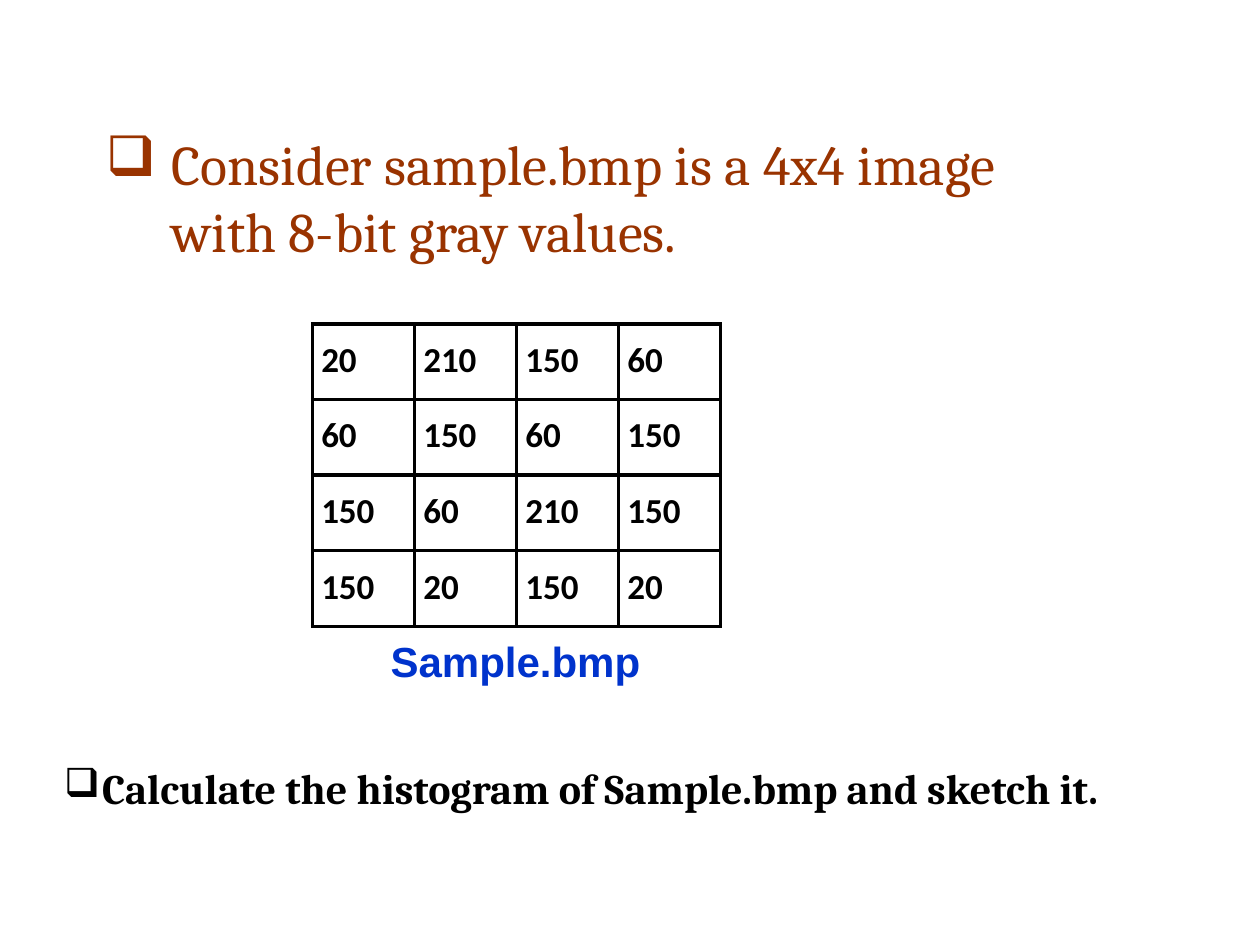
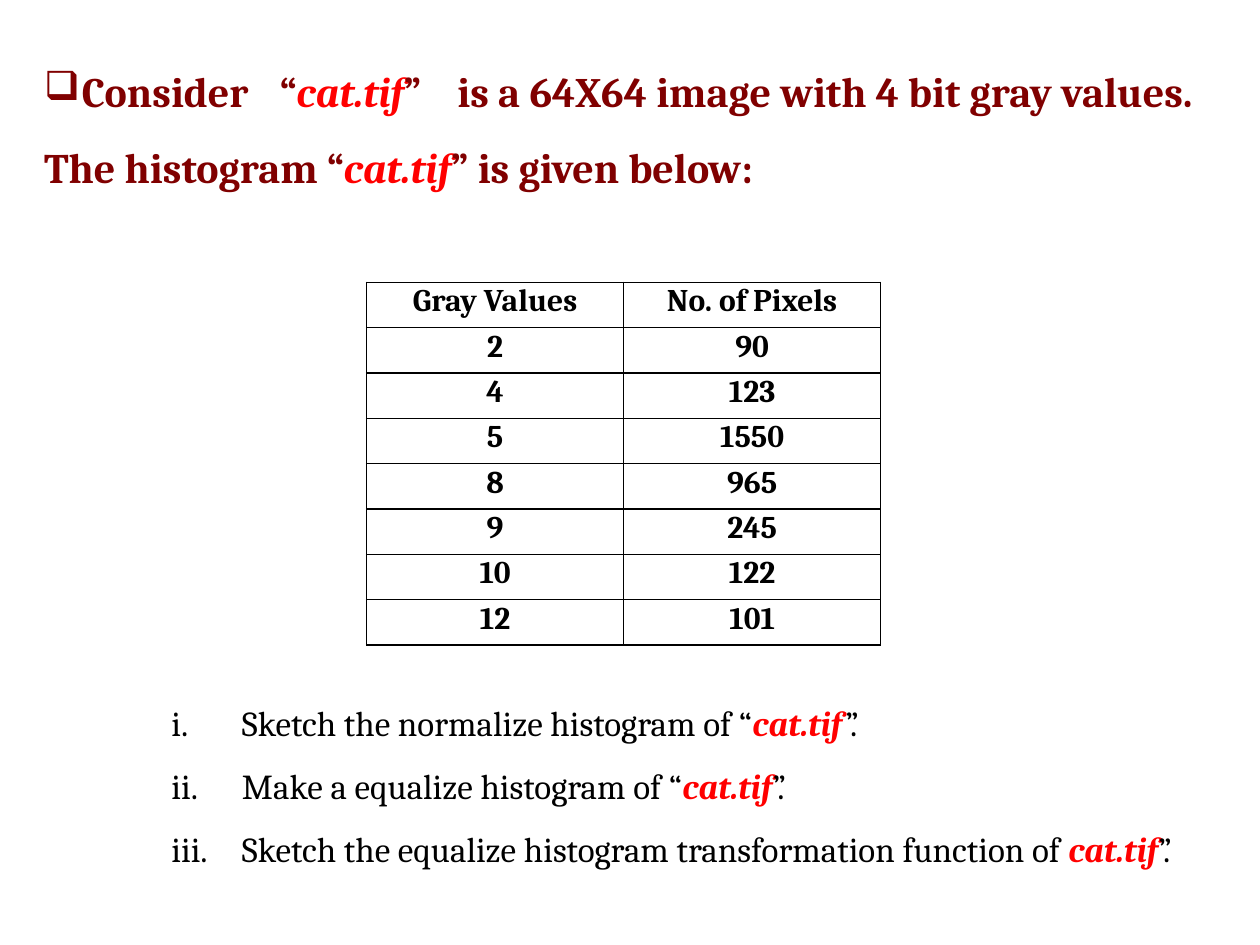
from lxml.etree import SubElement
from pptx import Presentation
from pptx.dml.color import RGBColor
from pptx.enum.text import PP_ALIGN
from pptx.oxml.ns import qn
from pptx.util import Inches, Pt

INK = {"rust": "993300", "maroon": "800000", "red": "FF0000",
       "blue": "0033CC", "black": "000000", "white": "FFFFFF"}
FILE = "cat.tif"


def write(para, text, size, ink, font="Cambria", bold=False, left=0, hang=0,
          mark=None, scale=100, tabs=(), gap=0):
    """Fill a paragraph; the file name FILE is set in red bold italics."""
    props = para._p.get_or_add_pPr()
    props.set("marL", str(Inches(left)))
    props.set("indent", str(-Inches(hang)))
    if mark:
        SubElement(props, qn("a:buSzPct"), val=str(scale * 1000))
        if mark == "roman":
            SubElement(props, qn("a:buAutoNum"), type="romanLcPeriod")
        else:
            SubElement(props, qn("a:buChar"), char=mark)
    if tabs:
        stops = SubElement(props, qn("a:tabLst"))
        for stop in tabs:
            SubElement(stops, qn("a:tab"), pos=str(Inches(stop)), algn="l")
    para.space_before = Pt(gap)
    para.font.name, para.font.size, para.font.bold = font, Pt(size), bold
    para.font.color.rgb = RGBColor.from_string(INK[ink])
    for num, part in enumerate(text.split(FILE)):
        if num:
            run = para.add_run()
            run.text = FILE
            run.font.bold = run.font.italic = True
            run.font.color.rgb = RGBColor.from_string(INK["red"])
        if part:
            run = para.add_run()
            run.text = part
            if part.strip() == "”.":
                run._r.get_or_add_rPr().set("spc", "-280")


def grid(slide, rows, spot, cell_size, line, pad, fill, size, font, align):
    """Add a ruled table of bold black text."""
    wide, high = cell_size
    count = len(rows[0])
    table = slide.shapes.add_table(
        len(rows), count, Inches(spot[0]), Inches(spot[1]),
        Inches(wide * count), Inches(high * len(rows))).table
    table.first_row = table.horz_banding = False
    for r, row in enumerate(rows):
        for c, value in enumerate(row):
            cell = table.cell(r, c)
            cell.margin_left, cell.margin_top = Inches(pad[0]), Inches(pad[1])
            cell.margin_right = cell.margin_bottom = 0
            if fill:
                cell.fill.solid()
                cell.fill.fore_color.rgb = RGBColor.from_string(INK[fill])
            else:
                cell.fill.background()
            props = cell._tc.get_or_add_tcPr()
            for num, side in enumerate(("lnL", "lnR", "lnT", "lnB")):
                edge = SubElement(props, qn("a:" + side), w=str(Pt(line)))
                paint = SubElement(edge, qn("a:solidFill"))
                SubElement(paint, qn("a:srgbClr"), val=INK["black"])
                props.insert(num, edge)
            para = cell.text_frame.paragraphs[0]
            write(para, str(value), size, "black", font, bold=True)
            para.alignment = align


deck = Presentation()
deck.slide_width, deck.slide_height = Inches(10), Inches(7.5)
first, second = [deck.slides.add_slide(deck.slide_layouts[6]) for _ in range(2)]

# Text boxes: slide, place, top inset
frames = []
for slide, spot, inset in ((first, (0.84, 1.02, 7.56, 1.1), 0.01),
                           (first, (0.5, 5.03, 8.69, 1.41), 0.01),
                           (second, (0.34, 0.31, 9.28, 1.23), 0.21),
                           (second, (1.34, 5.39, 8.42, 1.53), 0.18)):
    frame = slide.shapes.add_textbox(*map(Inches, spot)).text_frame
    frame.word_wrap = True
    frame.margin_left = frame.margin_right = frame.margin_bottom = 0
    frame.margin_top = Inches(inset)
    frames.append(frame)
head, task, intro, steps = frames

# Slide 1: sample image and task
write(head.paragraphs[0],
      "Consider sample.bmp is a 4x4 image with 8-bit gray values.",
      32, "rust", left=0.52, hang=0.52, mark="❑")
pixels = [(20, 210, 150, 60), (60, 150, 60, 150),
          (150, 60, 210, 150), (150, 20, 150, 20)]
grid(first, pixels, (2.48, 2.57), (0.81, 0.6), 2.25, (0.07, 0.12),
     "white", 20, "Calibri", PP_ALIGN.LEFT)
write(task.paragraphs[0], "Sample.bmp", 24, "blue", "Arial", True, left=2.6)
write(task.add_paragraph(),
      "Calculate the histogram of Sample.bmp and sketch it.", 24, "black",
      bold=True, left=0.31, hang=0.3, mark="❑", scale=96, gap=44)

# Slide 2: given histogram
write(intro.paragraphs[0],
      "Consider\t“cat.tif”\tis a 64X64 image with 4 bit gray values.",
      24, "maroon", bold=True, left=0.31, hang=0.3, mark="❑", scale=96,
      tabs=(0.31, 1.88, 3.29))
write(intro.add_paragraph(), "The histogram “cat.tif” is given below:",
      24, "maroon", bold=True, left=0.01, gap=14.4)
counts = [("Gray Values", "No. of Pixels"), (2, 90), (4, 123), (5, 1550),
          (8, 965), (9, 245), (10, 122), (12, 101)]
grid(second, counts, (2.91, 2.24), (2.04, 0.36), 1, (0, 0.01),
     None, 18, "Cambria", PP_ALIGN.CENTER)

# Slide 2: numbered steps
lines = ("Sketch the normalize histogram of “cat.tif ”.",
         "Make a equalize histogram of “cat.tif”.",
         "Sketch the equalize histogram transformation function of cat.tif”.")
for num, text in enumerate(lines):
    para = steps.add_paragraph() if num else steps.paragraphs[0]
    write(para, text, 20, "black", left=0.58, hang=0.56, mark="roman",
          gap=12 if num else 0)

deck.save("out.pptx")
